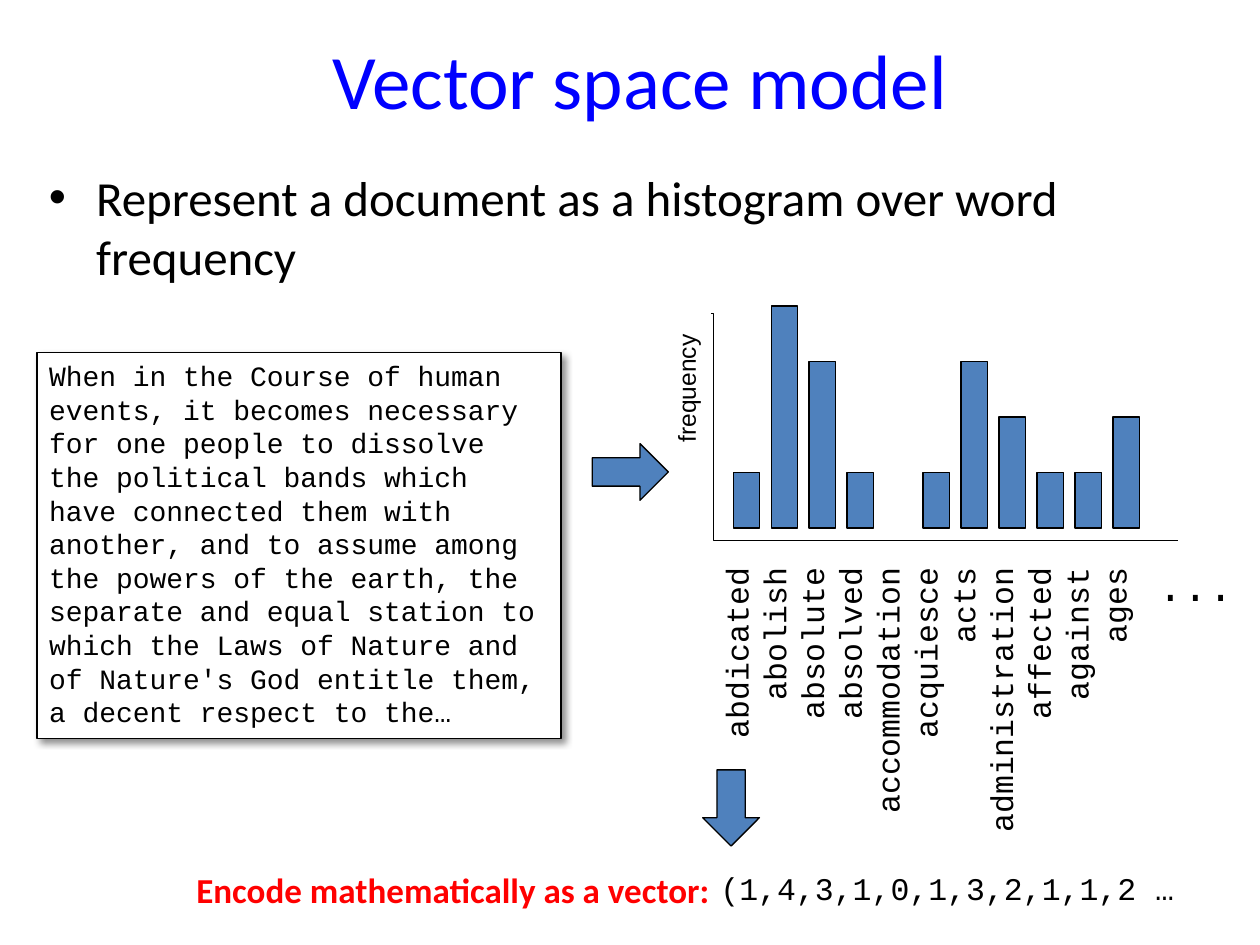
from pptx import Presentation
from pptx.dml.color import RGBColor
from pptx.enum.shapes import MSO_CONNECTOR as Connector, MSO_SHAPE as Shape
from pptx.enum.text import MSO_ANCHOR as Anchor, PP_ALIGN as Align
from pptx.oxml import parse_xml
from pptx.oxml.ns import nsdecls, qn
from pptx.util import Pt
from lxml.etree import SubElement

TITLE = "Vector space model"
BULLET = "Represent a document as a histogram over word frequency"
DOCUMENT = (
    "When in the Course of human events, it becomes necessary for one people "
    "to dissolve the political bands which have connected them with another, "
    "and to assume among the powers of the earth, the separate and equal "
    "station to which the Laws of Nature and of Nature's God entitle them, "
    "a decent respect to the…"
)
WORD_COUNTS = {
    "abdicated": 1, "abolish": 4, "absolute": 3, "absolved": 1,
    "accommodation": 0, "acquiesce": 1, "acts": 3, "administration": 2,
    "affected": 1, "against": 1, "ages": 2,
}
AXIS_LABEL = "frequency"
MORE_WORDS = "..."
ENCODE = "Encode mathematically as a vector:"
VECTOR = "(" + ",".join(str(count) for count in WORD_COUNTS.values()) + " …"

THEME = {
    "black": RGBColor(0, 0, 0), "white": RGBColor(255, 255, 255),
    "title": RGBColor(0, 0, 255), "accent": RGBColor(0x4F, 0x81, 0xBD),
    "alert": RGBColor(255, 0, 0),
    "sans": "Calibri", "mono": "Courier New", "axis": "Arial",
    "title_size": 44, "body_size": 28, "document_size": 16, "word_size": 18,
    "more_size": 24, "axis_size": 14, "encode_size": 20,
}
BAR_LEFT, BAR_PITCH, BAR_WIDTH = 419, 21.7, 15.2
BASELINE, UNIT_HEIGHT = 301.7, 31.7

presentation = Presentation()
presentation.slide_width, presentation.slide_height = Pt(720), Pt(540)
slide = presentation.slides.add_slide(presentation.slide_layouts[6])


def write(shape, text, font, size, color="black", align=Align.LEFT, wrap=True, bold=False):
    frame = shape.text_frame
    frame.word_wrap = wrap
    frame.text = text
    for paragraph in frame.paragraphs:
        paragraph.alignment = align
        for run in paragraph.runs:
            run.font.name = THEME[font]
            run.font.size = Pt(THEME[size])
            run.font.color.rgb = THEME[color]
            run.font.bold = bold
    return frame


def add_text(box, *style, **options):
    shape = slide.shapes.add_textbox(*map(Pt, box))
    write(shape, *style, **options)
    return shape


def add_block(kind, box, fill="accent", line_width=0.75):
    shape = slide.shapes.add_shape(kind, *map(Pt, box))
    shape.shadow.inherit = False
    shape.fill.solid()
    shape.fill.fore_color.rgb = THEME[fill]
    shape.line.color.rgb = THEME["black"]
    shape.line.width = Pt(line_width)
    return shape


def add_document():
    shape = add_block(Shape.RECTANGLE, (21, 201.5, 299.5, 220.5), "white", 1)
    write(shape, DOCUMENT, "mono", "document_size").vertical_anchor = Anchor.TOP
    effects = shape._element.spPr.find(qn("a:effectLst"))
    effects.append(parse_xml(
        f'<a:outerShdw {nsdecls("a")} blurRad="{Pt(4)}" dist="{Pt(3)}" dir="2700000" '
        'algn="tl" rotWithShape="0"><a:srgbClr val="000000"><a:alpha val="43000"/>'
        '</a:srgbClr></a:outerShdw>'))


def add_axes():
    axes = slide.shapes.add_connector(Connector.ELBOW, Pt(406.2), Pt(179), Pt(673.2), Pt(309))
    axes.line.color.rgb = THEME["black"]
    axes.line.width = Pt(0.75)
    properties = axes._element.spPr
    SubElement(properties, qn("a:effectLst"))
    adjustments = properties.find(qn("a:prstGeom")).get_or_add_avLst()
    SubElement(adjustments, qn("a:gd"), name="adj1", fmla="val 600")


def add_histogram():
    add_axes()
    for index, count in enumerate(WORD_COUNTS.values()):
        if count:
            height = count * UNIT_HEIGHT
            left = BAR_LEFT + index * BAR_PITCH
            add_block(Shape.RECTANGLE, (left, BASELINE - height, BAR_WIDTH, height))
    words = add_text((406.2, 317.5, 283.7, 165.6), "\n".join(WORD_COUNTS),
                     "mono", "word_size", align=Align.RIGHT, wrap=False)
    words.text_frame._txBody.bodyPr.set("vert", "vert270")
    add_text((654.5, 316, 58.3, 36), MORE_WORDS, "mono", "more_size", wrap=False)
    label = add_text((354.2, 209.5, 76.3, 24.5), AXIS_LABEL, "axis", "axis_size", wrap=False)
    label.rotation = 270


add_text((41.8, 0, 648, 90), TITLE, "sans", "title_size", "title",
         align=Align.CENTER).text_frame.vertical_anchor = Anchor.MIDDLE

body = add_text((20.9, 92.2, 671.8, 416), BULLET, "sans", "body_size")
bullet_properties = body.text_frame.paragraphs[0]._p.get_or_add_pPr()
bullet_properties.set("marL", str(Pt(27)))
bullet_properties.set("indent", str(Pt(-27)))
SubElement(bullet_properties, qn("a:buFont"), typeface="Arial")
SubElement(bullet_properties, qn("a:buChar"), char="•")

add_document()
add_block(Shape.RIGHT_ARROW, (338.4, 253.5, 43.5, 32.4))
add_histogram()
add_block(Shape.RIGHT_ARROW, (396, 445.5, 43.5, 32.4)).rotation = 90
add_text((404.6, 493.2, 275, 29), VECTOR, "mono", "word_size", wrap=False)
add_text((105.1, 492.5, 310.3, 31.5), ENCODE, "sans", "encode_size", "alert",
         wrap=False, bold=True)

presentation.save("out.pptx")
